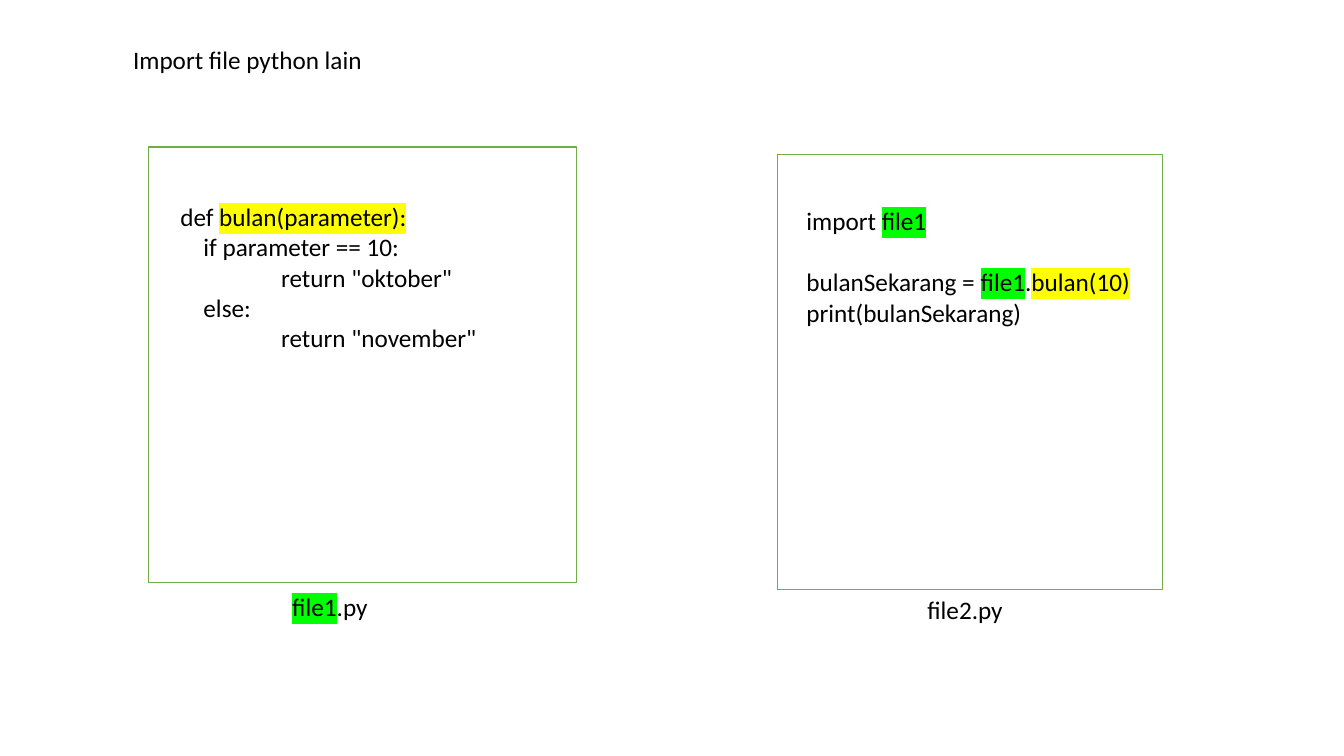
from lxml.etree import SubElement
from pptx import Presentation
from pptx.dml.color import RGBColor
from pptx.enum.shapes import MSO_SHAPE
from pptx.enum.text import MSO_ANCHOR, MSO_AUTO_SIZE, PP_ALIGN
from pptx.oxml.ns import qn
from pptx.util import Inches, Pt

GREEN, YELLOW, BORDER = "00FF00", "FFFF00", "70AD47"
IF_INDENT, RETURN_INDENT = 0.23, 1.0


def color(fmt, value):
    fmt.rgb = RGBColor.from_string(value)


def write(sp, box, lines):
    """Each line is (indent in inches, space before in points, [(text, highlight)])."""
    sp.left, sp.top, sp.width, sp.height = map(Inches, box)
    tf = sp.text_frame
    tf.word_wrap = False
    tf.auto_size = MSO_AUTO_SIZE.NONE
    tf.vertical_anchor = MSO_ANCHOR.TOP
    for i, (indent, before, runs) in enumerate(lines):
        p = tf.add_paragraph() if i else tf.paragraphs[0]
        p.alignment = PP_ALIGN.LEFT
        p.space_before = Pt(before)
        p._p.get_or_add_pPr().set("marL", str(Inches(indent)))
        for text, highlight in runs:
            r = p.add_run()
            r.text = text
            r.font.size = Pt(18)
            r.font.fill.solid()
            color(r.font.fill.fore_color, "000000")
            if highlight:
                mark = SubElement(r.font._element, qn("a:highlight"))
                SubElement(mark, qn("a:srgbClr")).set("val", highlight)
            r.font.name = "Calibri"


prs = Presentation()
prs.slide_width, prs.slide_height = Inches(13.33), Inches(7.5)
s = prs.slides.add_slide(prs.slide_layouts[5])

# Title
write(s.shapes.title, (1.22, 0.39, 2.5, 0.4),
      [(0, 0, [("Import file python lain", None)])])

# Source code of the two files
file1_code = [
    (0, 0, [("def ", None), ("bulan(parameter):", YELLOW)]),
    (IF_INDENT, 0, [("if parameter == 10:", None)]),
    (RETURN_INDENT, 0, [('return "oktober"', None)]),
    (IF_INDENT, 0, [("else:", None)]),
    (RETURN_INDENT, 0, [('return "november"', None)]),
]
file2_code = [
    (0, 0, [("import ", None), ("file1", GREEN)]),
    (0, 22, [("bulanSekarang = ", None), ("file1", GREEN),
             (".", None), ("bulan(10)", YELLOW)]),
    (0, 0, [("print(bulanSekarang)", None)]),
]

# Frame, code and file name of each file
files = [
    ((1.47, 1.46, 4.25, 4.32), (1.69, 1.95, 3.17, 1.92), file1_code,
     (2.8, 5.82, 0.96, 0.4), [("file1", GREEN), (".py", None)]),
    ((7.71, 1.53, 3.82, 4.32), (7.9, 1.99, 3.45, 1.31), file2_code,
     (9.1, 5.85, 0.96, 0.4), [("file2.py", None)]),
]
for frame, code_box, code, name_box, name in files:
    sp = s.shapes.add_shape(MSO_SHAPE.RECTANGLE, *map(Inches, frame))
    sp.shadow.inherit = False
    sp.fill.background()
    color(sp.line.color, BORDER)
    sp.line.width = Pt(1)
    for box, lines in ((code_box, code), (name_box, [(0, 0, name)])):
        write(s.shapes.add_textbox(0, 0, 0, 0), box, lines)

prs.save("out.pptx")
